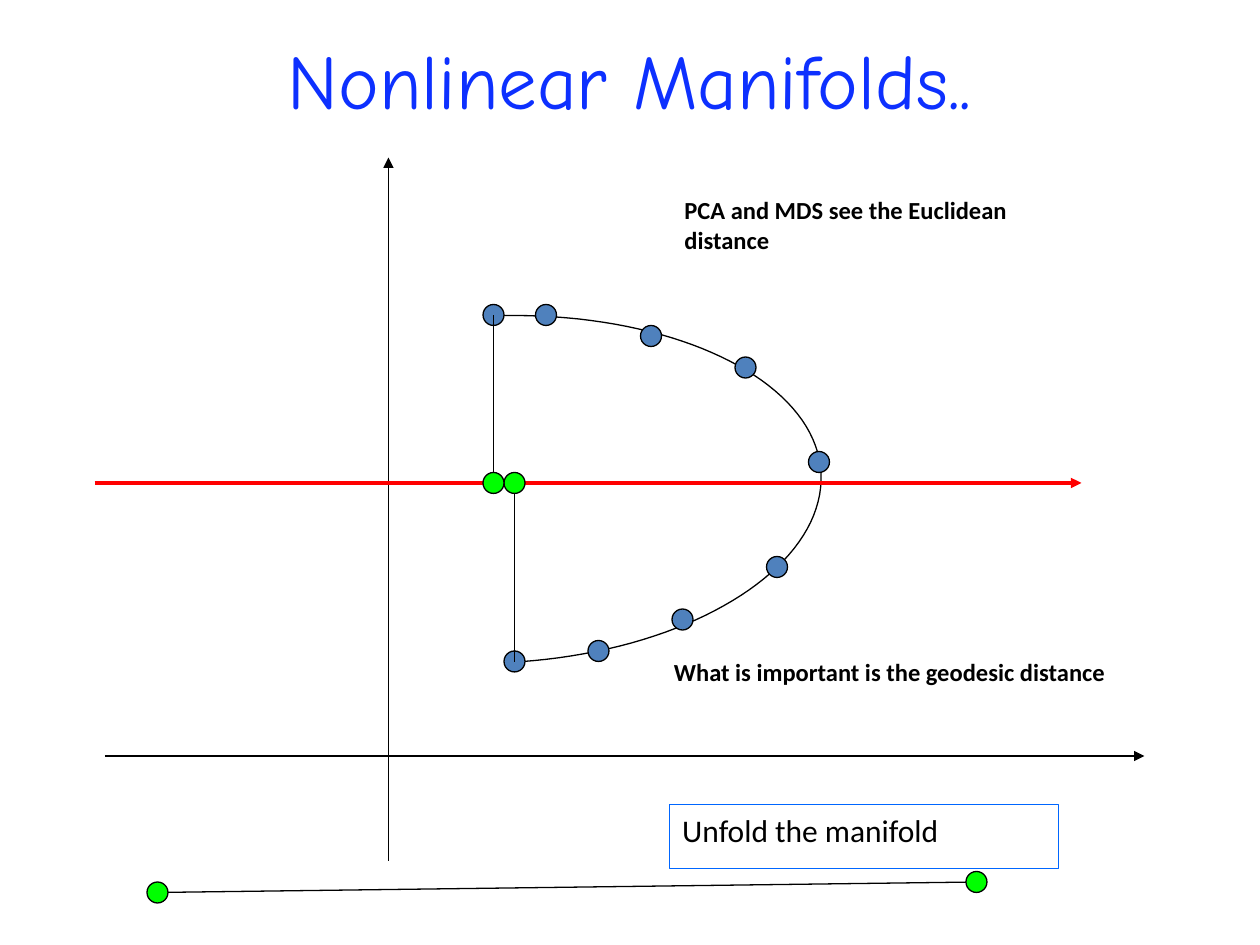
import pptx
import pptx.util
import pptx.dml.color
import pptx.enum.shapes
import pptx.enum.text
import pptx.oxml
from dataclasses import dataclass

PX = 7620  # EMU in one px, 120 px to the inch
A_NS = 'xmlns:a="http://schemas.openxmlformats.org/drawingml/2006/main"'


@dataclass(frozen=True)
class Theme:
    ink: str = "000000"
    blue: str = "0D30FF"
    frame: str = "0066FF"
    axis: str = "FF0000"
    dot: str = "4F81BD"
    foot: str = "00FF00"
    head: str = "Comic Neue"
    body: str = "Calibri"
    big: int = 44
    mid: int = 18
    small: int = 14
    thin: float = 0.75
    thick: float = 2


THEME = Theme()


def color(code):
    return pptx.dml.color.RGBColor.from_string(code)


def emu(*nums):
    return [pptx.util.Emu(round(num * PX)) for num in nums]


def shift(box, point):
    return box[0] + point[0], box[1] + point[1]


def stroke(shape, code=THEME.ink, width=THEME.thin):
    shape.line.color.rgb = color(code)
    shape.line.width = pptx.util.Pt(width)


def style(para, face, size, code, bold=False):
    para.font.name = face
    para.font.size = pptx.util.Pt(size)
    para.font.color.rgb = color(code)
    para.font.bold = bold


def add_line(slide, box, start, end, code=THEME.ink, width=THEME.thin, arrow=False):
    line = slide.shapes.add_connector(
        pptx.enum.shapes.MSO_CONNECTOR.STRAIGHT,
        *emu(*shift(box, start), *shift(box, end)))
    stroke(line, code, width)
    props = line._element.spPr
    if arrow:
        tip = pptx.oxml.parse_xml(f'<a:tailEnd {A_NS} type="triangle"/>')
        line.line._get_or_add_ln().append(tip)
    props.append(pptx.oxml.parse_xml(f"<a:effectLst {A_NS}/>"))


def add_dots(slide, box, points, code, size=20):
    """Draw one dot centred on each point."""
    for point in points:
        x, y = shift(box, point)
        dot = slide.shapes.add_shape(
            pptx.enum.shapes.MSO_SHAPE.OVAL,
            *emu(x - size / 2, y - size / 2, size, size))
        dot.shadow.inherit = False
        dot.fill.solid()
        dot.fill.fore_color.rgb = color(code)
        stroke(dot)


def bezier(a, b, c, d, steps=40):
    """Sample a cubic curve, leaving out its first point."""
    for step in range(1, steps + 1):
        t = step / steps
        s = 1 - t
        yield tuple(s**3 * p + 3 * s * s * t * q + 3 * s * t * t * r + t**3 * u
                    for p, q, r, u in zip(a, b, c, d))


def add_curve(slide, box):
    start, turn, end = (374, 151), (692, 301), (392, 481)
    points = [*bezier(start, (547, 144), (688, 211), turn),
              *bezier(turn, (696, 392), (563, 473), end)]
    build = slide.shapes.build_freeform(*emu(*shift(box, start)))
    build.add_line_segments([emu(*shift(box, point)) for point in points], close=False)
    curve = build.convert_to_shape()
    curve.shadow.inherit = False
    curve.fill.background()
    stroke(curve)


def add_plot(slide, box):
    feet = [(400, 310), (380, 310)]
    ends = [(400, 480), (380, 150)]
    between = [(430, 150), (530, 170), (620, 200), (690, 290),
               (650, 390), (560, 440), (480, 470)]
    add_line(slide, box, (280, 670), (280, 0), arrow=True)
    add_line(slide, box, (10, 570), (1000, 570), arrow=True)
    add_curve(slide, box)
    add_dots(slide, box, ends + between, THEME.dot)
    add_line(slide, box, (0, 310), (940, 310), THEME.axis, THEME.thick, arrow=True)
    for end, foot in zip(ends, feet):
        add_line(slide, box, end, foot)
    add_dots(slide, box, feet, THEME.foot)


def add_strip(slide, box):
    """Draw the unfolded manifold."""
    ends = [(10, 20), (790, 10)]
    add_line(slide, box, *ends)
    add_dots(slide, box, ends, THEME.foot)


def add_note(slide, box, lines, size=THEME.small, bold=True, frame=None):
    note = slide.shapes.add_textbox(*emu(*box))
    text = note.text_frame
    text.word_wrap = True
    text.text = "\n".join(lines)
    for para in text.paragraphs:
        style(para, THEME.body, size, THEME.ink, bold)
    if frame:
        stroke(note, frame)


def add_title(slide, box, words):
    title = slide.shapes.title
    title.left, title.top, title.width, title.height = emu(*box)
    title.text = words
    title.text_frame.vertical_anchor = pptx.enum.text.MSO_ANCHOR.MIDDLE
    para = title.text_frame.paragraphs[0]
    para.alignment = pptx.enum.text.PP_ALIGN.CENTER
    style(para, THEME.head, THEME.big, THEME.blue)


def main():
    deck = pptx.Presentation()
    deck.slide_width, deck.slide_height = emu(1200, 900)
    slide = deck.slides.add_slide(deck.slide_layouts.get_by_name("Title Only"))
    add_title(slide, (60, 0, 1080, 150), "Nonlinear Manifolds..")
    add_plot(slide, (90, 150))
    add_strip(slide, (140, 830))
    add_note(slide, (638, 766, 370, 61), ["Unfold the manifold"],
             THEME.mid, False, THEME.frame)
    add_note(slide, (640, 180, 475, 68), ["PCA and MDS see the Euclidean", "distance"])
    add_note(slide, (630, 620, 498, 40), ["What is important is the geodesic distance"])
    deck.save("out.pptx")


if __name__ == "__main__":
    main()
